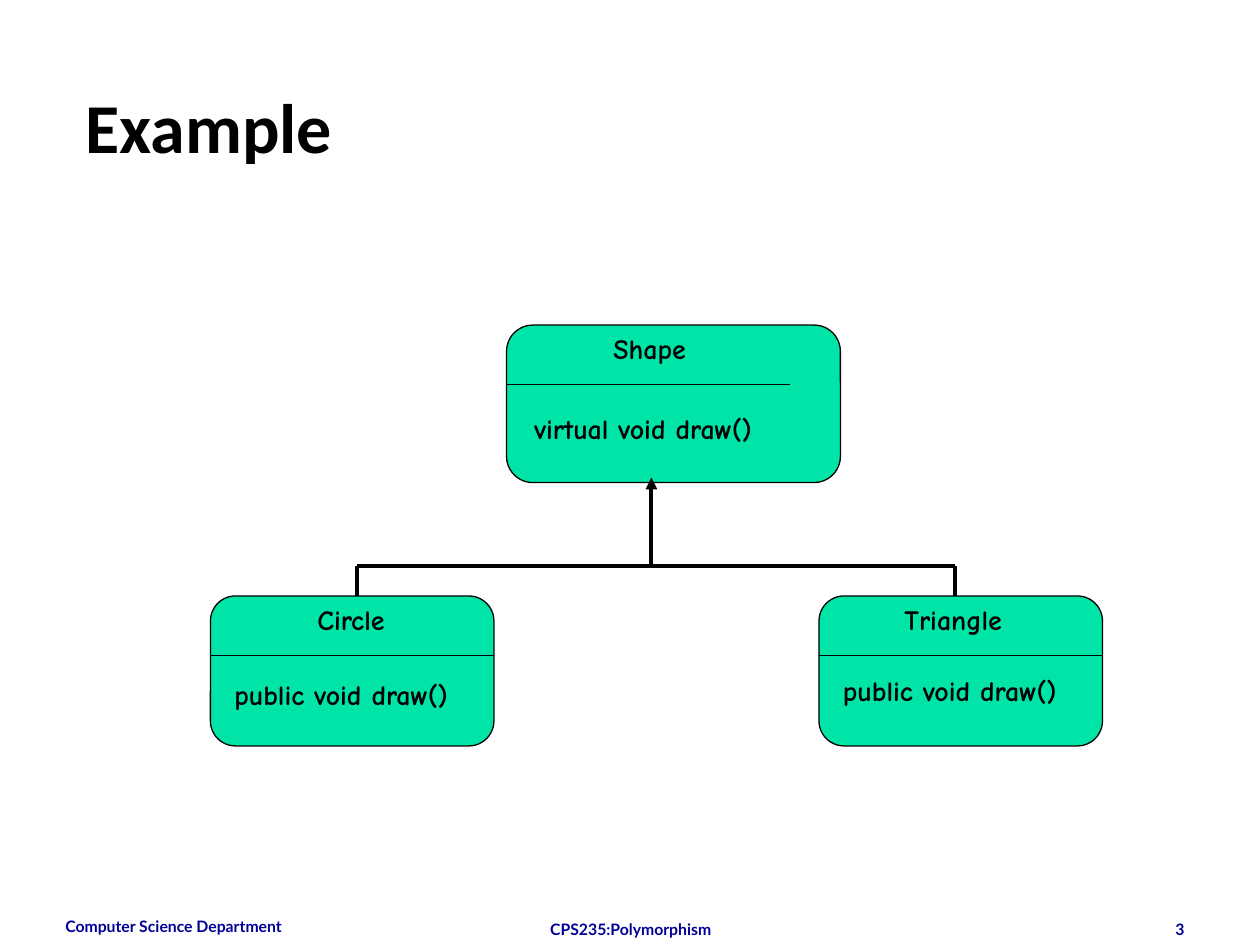
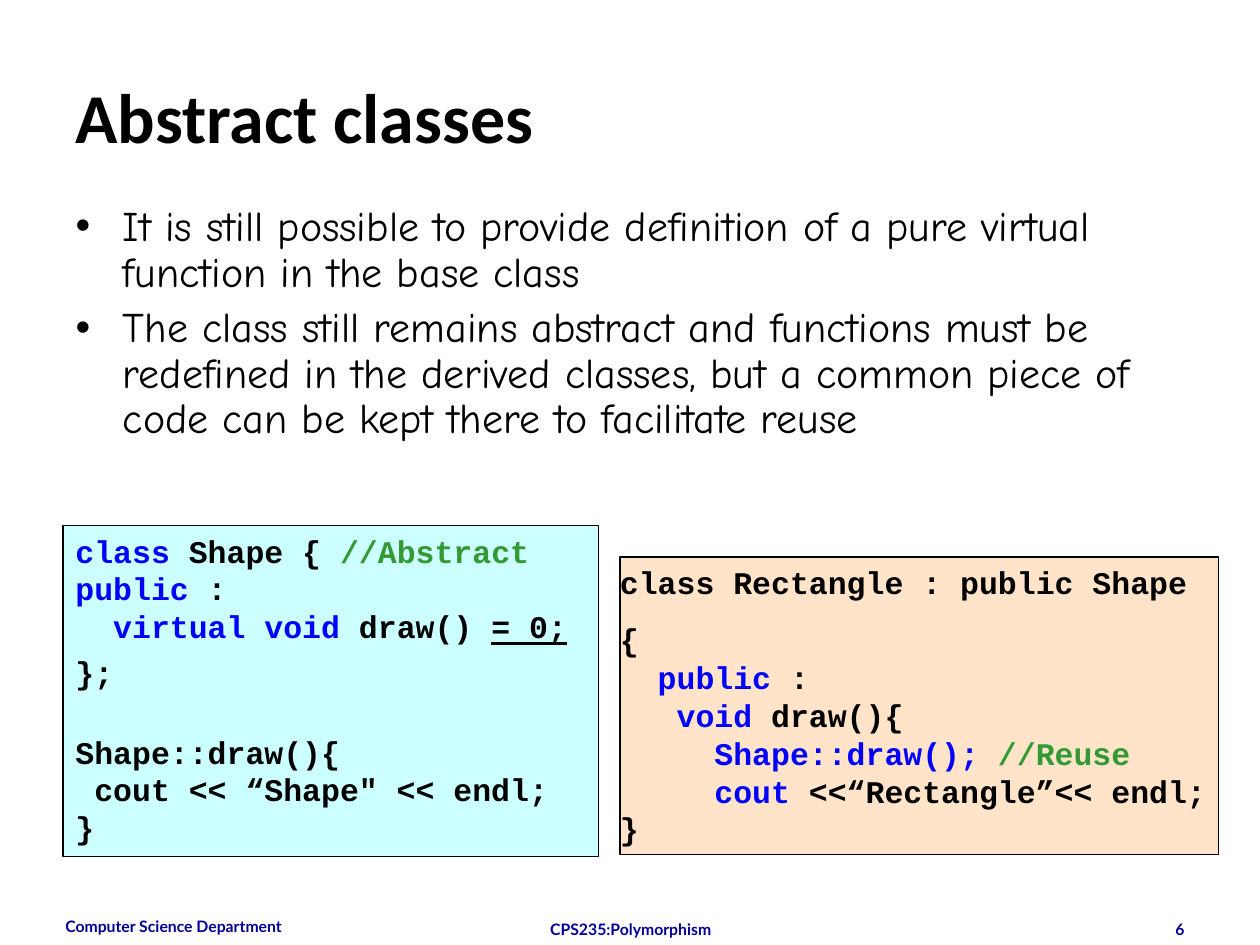
from dataclasses import dataclass

from lxml.etree import SubElement
from pptx import Presentation
from pptx.dml.color import RGBColor
from pptx.enum.shapes import MSO_CONNECTOR, MSO_SHAPE
from pptx.enum.text import MSO_ANCHOR, MSO_AUTO_SIZE, PP_ALIGN
from pptx.oxml.ns import qn
from pptx.util import Inches, Pt


@dataclass(frozen=True)
class Theme:
    # Colours
    ink: str = "000000"
    footer: str = "000099"
    class_fill: str = "00E4A8"
    base_fill: str = "CCFFFF"
    derived_fill: str = "FFE4C9"
    keyword: str = "0000FF"
    comment: str = "339933"
    # Fonts
    title_font: str = "Calibri"
    text_font: str = "Comic Neue"
    code_font: str = "Courier New"
    footer_font: str = "Lato"
    # Type sizes and line widths in points
    title_size: float = 40
    body_size: float = 24
    code_size: float = 18
    label_size: float = 16
    footer_size: float = 9
    thin: float = 0.75
    thick: float = 2.25


THEME = Theme()
TITLE_ONLY, TITLE_AND_BODY = 5, 1
CLASS_WIDTH = 2.25


def write_text(frame, paragraphs, *, font, size, bold=True, color=THEME.ink,
               align=PP_ALIGN.LEFT, anchor=MSO_ANCHOR.TOP, side=0.1,
               wrap=True, gaps=(), line_spacing=None):
    """Fill a frame; a paragraph is a string or a list of (text, colour, underline)."""
    frame.word_wrap = wrap
    frame.auto_size = MSO_AUTO_SIZE.NONE
    frame.vertical_anchor = anchor
    frame.margin_left = frame.margin_right = Inches(side)
    frame.margin_top = frame.margin_bottom = Inches(0.05)
    for index, spans in enumerate(paragraphs):
        para = frame.add_paragraph() if index else frame.paragraphs[0]
        para.alignment = align
        para.space_before = Pt(gaps[index - 1] if index else 0)
        if line_spacing:
            para.line_spacing = line_spacing
        if isinstance(spans, str):
            spans = [(spans,)]
        for text, *look in spans:
            span_color = look[0] if look else color
            for number, line in enumerate(text.split("\n")):
                if number:
                    para.add_line_break()
                if not line:
                    continue
                span = para.add_run()
                span.text = line
                span.font.name = font
                span.font.size = Pt(size)
                span.font.bold = bold
                span.font.color.rgb = RGBColor.from_string(span_color)
                if len(look) > 1:
                    span.font.underline = look[1]


class SlideBuilder:
    """Holds the theme and the current page."""

    def __init__(self, deck, theme):
        self.deck = deck
        self.theme = theme
        self.page = None

    def start(self, layout, title, number, left, top):
        self.page = self.deck.slides.add_slide(self.deck.slide_layouts[layout])
        box = self.page.shapes.title
        self.place(box, left, top, 9, 0.83)
        write_text(box.text_frame, [title], font=self.theme.title_font,
                   size=self.theme.title_size, anchor=MSO_ANCHOR.MIDDLE)
        self.footers(number)

    def place(self, box, left, top, width, height):
        box.left, box.top = Inches(left), Inches(top)
        box.width, box.height = Inches(width), Inches(height)

    def text(self, left, top, width, height, text, **look):
        box = self.page.shapes.add_textbox(
            Inches(left), Inches(top), Inches(width), Inches(height))
        write_text(box.text_frame, [text], **look)

    def footers(self, number):
        for left, top, width, height, text, align in (
                (0.42, 7.23, 2.33, 0.27, "Computer Science Department", PP_ALIGN.LEFT),
                (3.42, 7.25, 3.17, 0.1, "CPS235:Polymorphism", PP_ALIGN.CENTER),
                (7.17, 7.25, 2.33, 0.1, str(number), PP_ALIGN.RIGHT)):
            self.text(left, top, width, height, text, align=align,
                      font=self.theme.footer_font, size=self.theme.footer_size,
                      color=self.theme.footer)

    def bullets(self, items):
        box = self.page.placeholders[1]
        self.place(box, 0.5, 1.58, 9, 2.25)
        write_text(box.text_frame, items, font=self.theme.text_font,
                   size=self.theme.body_size, bold=False,
                   gaps=[6] * (len(items) - 1), line_spacing=0.9)

    def shape(self, kind, left, top, width, height, fill):
        shape = self.page.shapes.add_shape(
            kind, Inches(left), Inches(top), Inches(width), Inches(height))
        shape.shadow.inherit = False
        shape.fill.solid()
        shape.fill.fore_color.rgb = RGBColor.from_string(fill)
        shape.line.color.rgb = RGBColor.from_string(self.theme.ink)
        shape.line.width = Pt(self.theme.thin)
        return shape

    def line(self, start, end, weight, arrow=False):
        line = self.page.shapes.add_connector(
            MSO_CONNECTOR.STRAIGHT, *(Inches(value) for value in (*start, *end)))
        line.line.color.rgb = RGBColor.from_string(self.theme.ink)
        line.line.width = Pt(weight)
        if arrow:
            SubElement(line.line._get_or_add_ln(), qn("a:tailEnd"), type="triangle")
        SubElement(line._element.spPr, qn("a:effectLst"))

    def class_box(self, left, top, width, height, name, name_offset,
                  operation, operation_offset):
        self.shape(MSO_SHAPE.FLOWCHART_ALTERNATE_PROCESS,
                   left, top, width, height, self.theme.class_fill)
        label = dict(font=self.theme.text_font, size=self.theme.label_size, wrap=False)
        self.text(left + name_offset, top, 1.33, 0.37, name, **label)
        self.line((left, top + 0.47), (left + CLASS_WIDTH, top + 0.47), self.theme.thin)
        across, down = operation_offset
        self.text(left + across, top + down, 1.98, 0.37, operation, side=0, **label)

    def code(self, left, top, width, height, fill, paragraphs, gaps, side):
        box = self.shape(MSO_SHAPE.RECTANGLE, left, top, width, height, fill)
        write_text(box.text_frame, paragraphs, font=self.theme.code_font,
                   size=self.theme.code_size, gaps=gaps, side=side)


def example_slide(builder):
    builder.start(TITLE_ONLY, "Example", 3, 0.58, 0.58)

    # Base class and the two derived classes
    builder.class_box(4.02, 2.58, 2.65, 1.25, "Shape", 0.75,
                      "virtual void draw()", (0.22, 0.64))
    builder.class_box(1.67, 4.73, CLASS_WIDTH, 1.19, "Circle", 0.75,
                      "public void draw()", (0.19, 0.6))
    builder.class_box(6.5, 4.73, CLASS_WIDTH, 1.19, "Triangle", 0.58,
                      "public void draw()", (0.19, 0.57))

    # Inheritance tree
    circle_x, shape_x, triangle_x = 2.83, 5.17, 7.58
    bar_y = 4.49
    thick = builder.theme.thick
    builder.line((circle_x, bar_y), (triangle_x, bar_y), thick)
    for child_x in (circle_x, triangle_x):
        builder.line((child_x, bar_y), (child_x, 4.73), thick)
    builder.line((shape_x, bar_y), (shape_x, 3.79), thick, arrow=True)


def abstract_slide(builder):
    theme = builder.theme
    keyword, comment, ink = theme.keyword, theme.comment, theme.ink
    builder.start(TITLE_AND_BODY, "Abstract classes", 6, 0.5, 0.5)
    builder.bullets([
        "It is still possible to provide definition of a pure virtual function "
        "in the base class",
        "The class still remains abstract and functions must be redefined in the "
        "derived classes, but a common piece of code can be kept there to "
        "facilitate reuse",
    ])

    # Abstract base class
    builder.code(0.5, 4.17, 4.25, 2.63, theme.base_fill, [
        [("class", keyword), (" Shape { ",), ("//Abstract \n", comment),
         ("public", keyword), (" :\n  ",), ("virtual void", keyword),
         (" draw() ",), ("= 0;", ink, True)],
        "};",
        "Shape::draw(){\n cout << “Shape\" << endl;\n}",
    ], gaps=(4.5, 24), side=0.1)

    # Derived class that reuses the base definition
    builder.code(4.92, 4.42, 4.75, 2.36, theme.derived_fill, [
        "class Rectangle : public Shape",
        [("{\n  ",), ("public", keyword), (" :\n   ",), ("void", keyword),
         (" draw(){\n     ",), ("Shape::draw();", keyword),
         (" //Reuse\n     ", comment), ("cout", keyword),
         (" <<“Rectangle”<< endl;\n}",)],
    ], gaps=(11.2,), side=0)


def main():
    deck = Presentation()
    deck.slide_width, deck.slide_height = Inches(10), Inches(7.5)
    builder = SlideBuilder(deck, THEME)
    example_slide(builder)
    abstract_slide(builder)
    deck.save("out.pptx")


if __name__ == "__main__":
    main()
